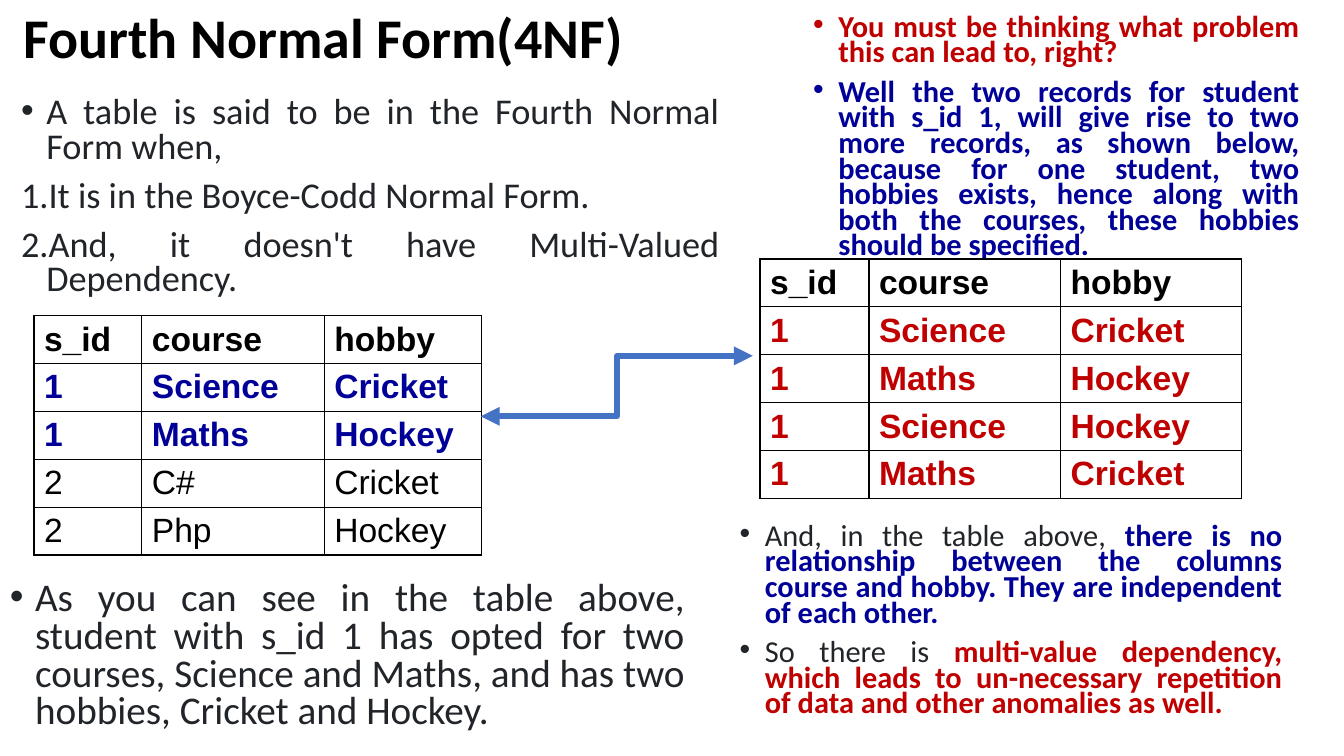
from lxml import etree
from pptx import Presentation
from pptx.dml.color import RGBColor
from pptx.enum.shapes import MSO_CONNECTOR
from pptx.enum.text import MSO_ANCHOR, MSO_AUTO_SIZE, PP_ALIGN
from pptx.oxml.ns import qn
from pptx.util import Pt

ELBOW = MSO_CONNECTOR.ELBOW
MIDDLE = MSO_ANCHOR.MIDDLE
NO_FIT = MSO_AUTO_SIZE.NONE
LEFT, JUSTIFY = PP_ALIGN.LEFT, PP_ALIGN.JUSTIFY

BLACK = RGBColor(0x00, 0x00, 0x00)
WHITE = RGBColor(0xFF, 0xFF, 0xFF)
INK = RGBColor(0x21, 0x25, 0x29)
NAVY = RGBColor(0x00, 0x00, 0x99)
RED = RGBColor(0xC0, 0x00, 0x00)
ARROW_BLUE = RGBColor(0x44, 0x72, 0xC4)

BODY_FONT, TABLE_FONT = "Calibri", "Arial"
INDENT = Pt(18)
ROW_HEIGHT = 34.2
HEADER = ("s_id", "course", "hobby")


def add_run(p, text, font, size, color, bold=False):
    """Add one formatted run to a paragraph."""
    r = p.add_run()
    r.text = text
    r.font.name, r.font.size, r.font.bold = font, Pt(size), bold
    r.font.color.rgb = color


def add_fill(parent, color):
    """Append a solid fill to an XML element."""
    fill = etree.SubElement(parent, qn("a:solidFill"))
    etree.SubElement(fill, qn("a:srgbClr"), val=str(color))


def set_bullet(p, color, numbered):
    """Give a paragraph a hanging dot or number in the given colour."""
    pPr = p._p.get_or_add_pPr()
    pPr.set("marL", str(INDENT))
    pPr.set("indent", str(-INDENT))
    bu_color = etree.SubElement(pPr, qn("a:buClr"))
    etree.SubElement(bu_color, qn("a:srgbClr"), val=str(color))
    if numbered:
        etree.SubElement(pPr, qn("a:buFont"), typeface="+mj-lt")
        etree.SubElement(pPr, qn("a:buAutoNum"), type="arabicPeriod")
    else:
        etree.SubElement(pPr, qn("a:buFont"), typeface=TABLE_FONT)
        etree.SubElement(pPr, qn("a:buChar"), char="•")


def add_title(s, box, text):
    """Place and format the title placeholder."""
    sp = s.shapes.title
    sp.left, sp.top, sp.width, sp.height = map(Pt, box)
    tf = sp.text_frame
    tf.word_wrap, tf.auto_size, tf.vertical_anchor = True, NO_FIT, MIDDLE
    p = tf.paragraphs[0]
    p.alignment, p.line_spacing = LEFT, 0.9
    add_run(p, text, BODY_FONT, 40, BLACK, True)


def add_list(s, box, size, spacing, items):
    """Add a justified list; an item is (numbered, [(text, colour, bold)])."""
    tf = s.shapes.add_textbox(*map(Pt, box)).text_frame
    tf.word_wrap, tf.auto_size = True, NO_FIT
    for i, (numbered, runs) in enumerate(items):
        p = tf.add_paragraph() if i else tf.paragraphs[0]
        p.alignment, p.line_spacing = JUSTIFY, spacing
        p.space_before = Pt(10 if i else 0)
        set_bullet(p, runs[0][1], numbered)
        for text, color, bold in runs:
            add_run(p, text, BODY_FONT, size, color, bold)


def format_cell(cell, text, color, bold):
    """Fill, border and write one table cell."""
    cell.fill.solid()
    cell.fill.fore_color.rgb = WHITE
    tcPr = cell._tc.get_or_add_tcPr()
    for i, side in enumerate(("a:lnL", "a:lnR", "a:lnT", "a:lnB")):
        ln = etree.Element(qn(side), w=str(Pt(1)))
        add_fill(ln, BLACK)
        tcPr.insert(i, ln)
    add_run(cell.text_frame.paragraphs[0], text, TABLE_FONT, 24, color, bold)


def add_records(s, left, top, widths, records, mark_color):
    """Add a student table; records of student 1 are bold and coloured."""
    rows = [HEADER, *records]
    table = s.shapes.add_table(len(rows), len(widths), Pt(left), Pt(top),
                               Pt(sum(widths)), Pt(ROW_HEIGHT * len(rows))).table
    for column, width in zip(table.columns, widths):
        column.width = Pt(width)
    for i, row in enumerate(rows):
        table.rows[i].height = Pt(ROW_HEIGHT)
        marked = row[0] == "1"
        for j, text in enumerate(row):
            format_cell(table.cell(i, j), text, mark_color if marked else BLACK,
                        marked or i == 0)


def add_link(s, start, end):
    """Join two points with a double-headed elbow arrow."""
    cn = s.shapes.add_connector(ELBOW, *map(Pt, (*start, *end)))
    cn.line.color.rgb, cn.line.width = ARROW_BLUE, Pt(4.5)
    ln = cn.line._get_or_add_ln()
    for tag in ("a:headEnd", "a:tailEnd"):
        etree.SubElement(ln, qn(tag), type="triangle")
    etree.SubElement(ln.getparent(), qn("a:effectLst"))


def add_definition(s, left, top, width, height):
    """Left column: conditions, sample table and its reading."""
    add_list(s, (left + 8, top, width, height * 0.34), 25.9, 0.8, [
        (False, [("A table is said to be in the Fourth Normal Form when,", INK, False)]),
        (True, [("It is in the Boyce-Codd Normal Form.", INK, False)]),
        (True, [("And, it doesn't have Multi-Valued Dependency.", INK, False)]),
    ])
    add_records(s, left + 24.3, top + 160, (77, 130.3, 112.5), [
        ("1", "Science", "Cricket"), ("1", "Maths", "Hockey"),
        ("2", "C#", "Cricket"), ("2", "Php", "Hockey")], NAVY)
    add_list(s, (left, top + 346.5, width - 17, height - 346.5), 28, 0.8, [
        (False, [("As you can see in the table above, student with s_id 1 has opted "
                  "for two courses, Science and Maths, and has two hobbies, "
                  "Cricket and Hockey.", INK, False)])])


def add_problem(s, left, top, width, height):
    """Right column: the problem, the resulting table and the conclusion."""
    add_list(s, (left + 52.5, top, width - 52.5, height * 0.37), 21.7, 0.7, [
        (False, [("You must be thinking what problem this can lead to, right?",
                  RED, True)]),
        (False, [("Well the two records for student with s_id 1, will give rise to "
                  "two more records, as shown below, because for one student, two "
                  "hobbies exists, hence along with both the courses, these hobbies "
                  "should be specified.", NAVY, True)]),
    ])
    add_records(s, left + 21.6, top + 176.4, (77.8, 136.8, 129.6), [
        ("1", "Science", "Cricket"), ("1", "Maths", "Hockey"),
        ("1", "Science", "Hockey"), ("1", "Maths", "Cricket")], RED)
    add_list(s, (left, top + 363.6, width - 12.2, height - 363.6), 21.7, 0.7, [
        (False, [("And, in the table above, ", INK, False),
                 ("there is no relationship between the columns course and hobby. "
                  "They are independent of each other.", NAVY, True)]),
        (False, [("So there is ", INK, False),
                 ("multi-value dependency, which leads to un-necessary repetition "
                  "of data and other anomalies as well.", RED, True)]),
    ])


prs = Presentation()
prs.slide_width, prs.slide_height = Pt(960), Pt(540)
s = prs.slides.add_slide(prs.slide_layouts[5])
add_title(s, (9.4, 1.4, 460, 55.4), "Fourth Normal Form(4NF)")
add_definition(s, 0, 65.5, 513.2, 473)
add_problem(s, 521.3, 8.6, 414, 523.5)
add_link(s, (343.4, 297.4), (537.8, 254.2))
prs.save("out.pptx")
